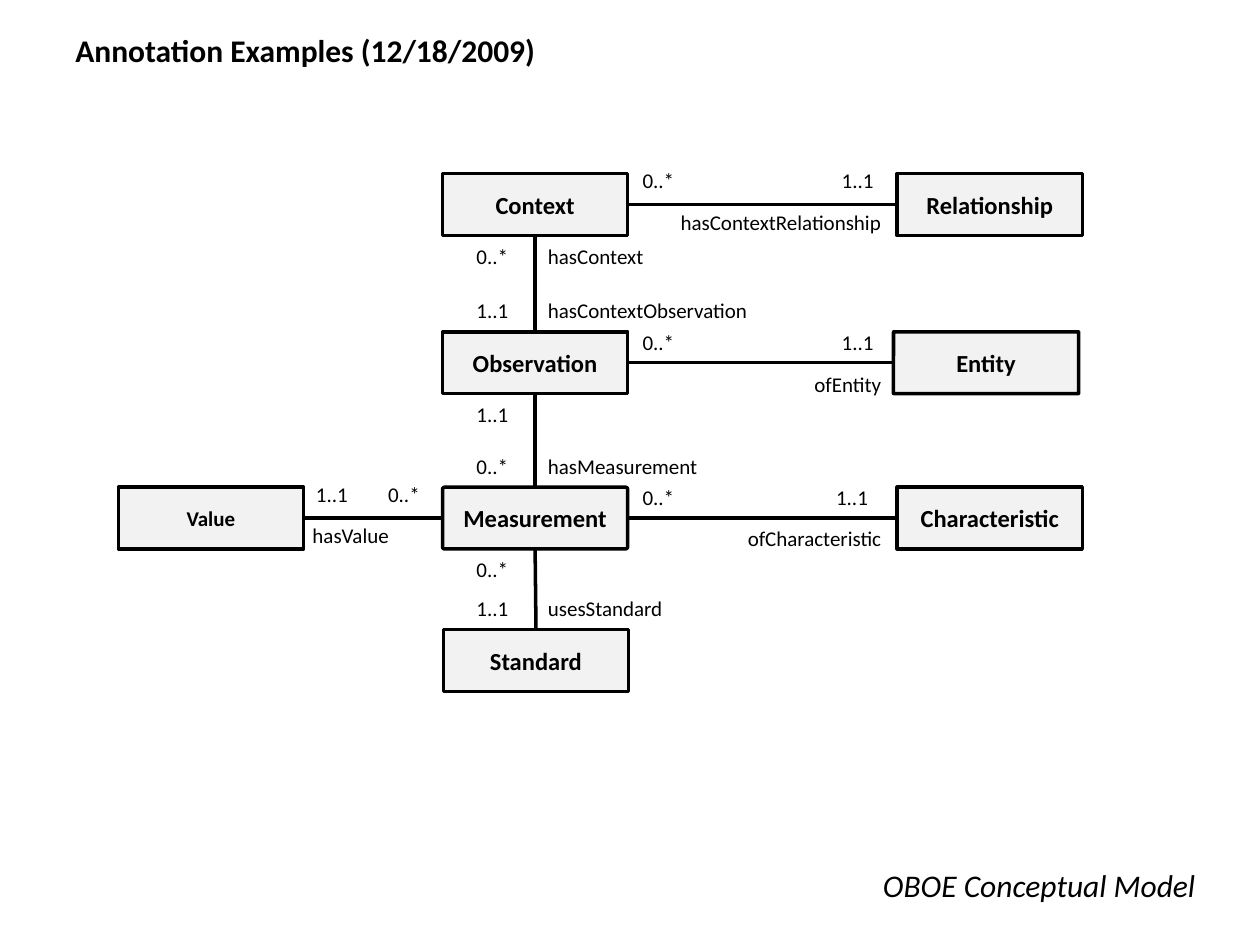
from lxml import etree
from pptx import Presentation
from pptx.dml.color import RGBColor
from pptx.enum.shapes import MSO_CONNECTOR, MSO_SHAPE
from pptx.enum.text import MSO_ANCHOR, MSO_AUTO_SIZE, PP_ALIGN
from pptx.oxml.ns import qn
from pptx.util import Pt

BLACK = RGBColor(0x00, 0x00, 0x00)
BOX_GREY = RGBColor(0xF2, 0xF2, 0xF2)
FONT = "Calibri"
LEFT, CENTER, RIGHT = PP_ALIGN.LEFT, PP_ALIGN.CENTER, PP_ALIGN.RIGHT
MIDDLE, TOP_ANCHOR = MSO_ANCHOR.MIDDLE, MSO_ANCHOR.TOP
FIT_SHAPE = MSO_AUTO_SIZE.SHAPE_TO_FIT_TEXT
STRAIGHT = MSO_CONNECTOR.STRAIGHT
ROUNDED = MSO_SHAPE.ROUNDED_RECTANGLE

BOX_WIDTH, BOX_HEIGHT = 105.8, 35.3
LABEL_HEIGHT, COUNT_WIDTH = 21.8, 40.3
MANY, ONE = "0..*", "1..1"

# Name: left, top (from the diagram's corner), corner rounding, text size
BOXES = {
    "Context": (185.2, 0, 0, 14),
    "Observation": (185.2, 90.4, 0, 14),
    "Measurement": (185.2, 179.2, 0.034, 14),
    "Standard": (185.7, 260.6, 0, 14),
    "Relationship": (445, 0, 0, 14),
    "Entity": (442.9, 90.4, 0.008, 14),
    "Characteristic": (445, 179.2, 0, 14),
    "Value": (0, 179.2, 0, 12),
}
# Upper box, lower box, upper count, lower count, upper name, lower name
VERTICAL_LINKS = [
    ("Context", "Observation", MANY, ONE, "hasContext", "hasContextObservation"),
    ("Observation", "Measurement", ONE, MANY, "", "hasMeasurement"),
    ("Measurement", "Standard", MANY, ONE, "", "usesStandard"),
]
# Left box, right box, counts, left of right count, rise of counts,
# name, its left, width, drop and alignment; lefts count from the left box's edge
HORIZONTAL_LINKS = [
    ("Context", "Relationship", MANY, ONE, 115.2, 24.8,
     "hasContextRelationship", 22.3, 129.6, -0.6, RIGHT),
    ("Observation", "Entity", MANY, ONE, 115.2, 22.7,
     "ofEntity", 92.9, 59, 1.6, RIGHT),
    ("Measurement", "Characteristic", MANY, ONE, 112, 22.6,
     "ofCharacteristic", 58, 94, 0.7, RIGHT),
    ("Value", "Measurement", ONE, MANY, 41.2, 24.5,
     "hasValue", -2, 69, -0.9, LEFT),
]


def style_text(frame, text, size, align=LEFT, bold=False, italic=False):
    """Write one paragraph into a text frame."""
    frame.text = text
    paragraph = frame.paragraphs[0]
    paragraph.alignment = align
    font = paragraph.font
    font.name, font.size = FONT, Pt(size)
    font.bold, font.italic = bold, italic
    font.color.rgb = BLACK


def add_text(slide, text, left, top, width, height, size=12, align=LEFT,
             anchor=TOP_ANCHOR, wrap=True, bold=False, italic=False):
    """Add a text box with default insets."""
    shape = slide.shapes.add_textbox(Pt(left), Pt(top), Pt(width), Pt(height))
    frame = shape.text_frame
    frame.word_wrap = wrap
    frame.vertical_anchor = anchor
    if anchor == TOP_ANCHOR:
        frame.auto_size = FIT_SHAPE
    style_text(frame, text, size, align, bold, italic)


def add_class_box(slide, name, left, top, rounding, size):
    """Add one named class box."""
    shape = slide.shapes.add_shape(
        ROUNDED, Pt(left), Pt(top), Pt(BOX_WIDTH), Pt(BOX_HEIGHT))
    shape.shadow.inherit = False
    shape.adjustments[0] = rounding
    shape.fill.solid()
    shape.fill.fore_color.rgb = BOX_GREY
    shape.line.color.rgb = BLACK
    shape.line.width = Pt(2)
    frame = shape.text_frame
    frame.margin_left = frame.margin_right = Pt(0)
    frame.margin_top = frame.margin_bottom = Pt(0)
    frame.word_wrap = True
    frame.vertical_anchor = MIDDLE
    style_text(frame, name, size, CENTER, bold=True)
    return shape


def add_line(slide, start_x, start_y, end_x, end_y):
    """Draw a straight black line."""
    connector = slide.shapes.add_connector(
        STRAIGHT, Pt(start_x), Pt(start_y), Pt(end_x), Pt(end_y))
    connector.line.color.rgb = BLACK
    connector.line.width = Pt(2)
    etree.SubElement(connector._element.spPr, qn("a:effectLst"))


def add_vertical_link(slide, upper, lower, upper_count, lower_count,
                      upper_name, lower_name):
    """Link two stacked boxes: counts left of the line, names right of it."""
    line_x = upper.left.pt + BOX_WIDTH / 2
    upper_edge = upper.top.pt + BOX_HEIGHT
    lower_edge = lower.top.pt
    add_line(slide, lower.left.pt + BOX_WIDTH / 2, lower_edge,
             line_x, upper_edge)
    ends = [(upper_edge + 0.9, upper_count, upper_name),
            (lower_edge - 22.9, lower_count, lower_name)]
    for top, count, name in ends:
        add_text(slide, count, line_x - 40.6, top, COUNT_WIDTH, LABEL_HEIGHT)
        if name:
            add_text(slide, name, line_x + 0.2, top, 148, LABEL_HEIGHT)


def add_horizontal_link(slide, first, second, first_count, second_count,
                        second_left, rise, name, name_left, name_width,
                        drop, align):
    """Link two boxes in a row: counts above the line, name below it."""
    edge = first.left.pt + BOX_WIDTH
    line_y = first.top.pt + BOX_HEIGHT / 2
    add_line(slide, edge, line_y, second.left.pt, line_y)
    first_left = 0 if first_count == ONE else 1.4
    for count, left in [(first_count, first_left), (second_count, second_left)]:
        add_text(slide, count, edge + left, line_y - rise,
                 COUNT_WIDTH, LABEL_HEIGHT)
    add_text(slide, name, edge + name_left, line_y + drop,
             name_width, LABEL_HEIGHT, align=align)


def add_diagram(slide, left, top):
    """Draw the class diagram from its top left corner."""
    boxes = {
        name: add_class_box(slide, name, left + x, top + y, rounding, size)
        for name, (x, y, rounding, size) in BOXES.items()
    }
    for upper, lower, *labels in VERTICAL_LINKS:
        add_vertical_link(slide, boxes[upper], boxes[lower], *labels)
    for first, second, *labels in HORIZONTAL_LINKS:
        add_horizontal_link(slide, boxes[first], boxes[second], *labels)


def main():
    """Build and save the presentation."""
    presentation = Presentation()
    presentation.slide_width, presentation.slide_height = Pt(720), Pt(540)
    slide = presentation.slides.add_slide(presentation.slide_layouts[6])
    add_text(slide, "Annotation Examples (12/18/2009)", 36, 12.6, 648, 32,
             size=18, anchor=MIDDLE, bold=True)
    add_diagram(slide, 67.7, 99.2)
    add_text(slide, "OBOE Conceptual Model", 497.5, 491.4, 200, 29,
             size=18, wrap=False, italic=True)
    presentation.save("out.pptx")


main()
